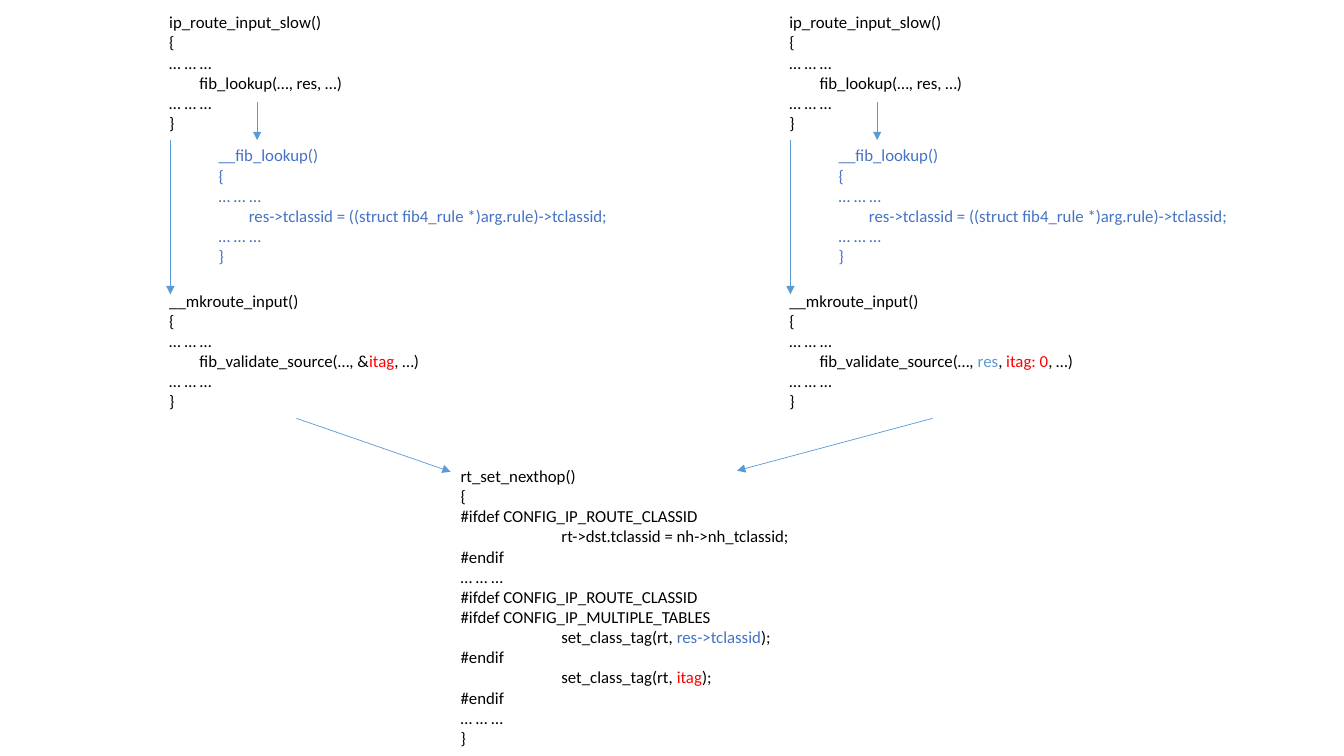
from lxml.etree import SubElement
from pptx import Presentation
from pptx.dml.color import RGBColor
from pptx.enum.shapes import MSO_CONNECTOR
from pptx.enum.text import MSO_AUTO_SIZE
from pptx.oxml.ns import qn
from pptx.util import Inches, Pt

BLACK = RGBColor(0x00, 0x00, 0x00)
RED = RGBColor(0xFF, 0x00, 0x00)
BLUE = RGBColor(0x44, 0x72, 0xC4)
SKY = RGBColor(0x5B, 0x9B, 0xD5)
DOTS = "… … …"


class CodeFlow:
    """Holds the slide and the style of its code blocks and arrows."""

    font_format = {"name": "Calibri", "size": Pt(12)}
    frame_format = {"word_wrap": False, "auto_size": MSO_AUTO_SIZE.SHAPE_TO_FIT_TEXT}

    def __init__(self, slide):
        self.slide = slide

    def code(self, left, top, width, height, lines, color=BLACK, indent=0.3):
        """A plain line is a string; an indented line is a list of (text, colour)."""
        box = self.slide.shapes.add_textbox(
            Inches(left), Inches(top), Inches(width), Inches(height))
        frame = box.text_frame
        for key, value in self.frame_format.items():
            setattr(frame, key, value)
        for number, line in enumerate(lines):
            paragraph = frame.add_paragraph() if number else frame.paragraphs[0]
            if isinstance(line, str):
                line = [(line, color)]
            else:
                paragraph._p.get_or_add_pPr().set("marL", str(Inches(indent)))
            for text, run_color in line:
                run = paragraph.add_run()
                run.text = text
                for key, value in self.font_format.items():
                    setattr(run.font, key, value)
                run.font.color.rgb = run_color

    def function(self, left, top, width, name, call, color=BLACK):
        lines = [name, "{", DOTS, call, DOTS, "}"]
        self.code(left, top, width, 1.31, lines, color)

    def arrow(self, x1, y1, x2, y2):
        arrow = self.slide.shapes.add_connector(
            MSO_CONNECTOR.STRAIGHT, Inches(x1), Inches(y1), Inches(x2), Inches(y2))
        arrow.line.color.rgb = SKY
        arrow.line.width = Pt(0.5)
        SubElement(arrow.line._get_or_add_ln(), qn("a:tailEnd"), type="triangle")
        SubElement(arrow._element.spPr, qn("a:effectLst"))


def main():
    presentation = Presentation()
    presentation.slide_width = Inches(13.33)
    presentation.slide_height = Inches(7.5)
    flow = CodeFlow(presentation.slides.add_slide(presentation.slide_layouts[6]))

    # Shared final step
    flow.code(4.47, 4.57, 3.49, 2.93, [
        "rt_set_nexthop()",
        "{",
        "#ifdef CONFIG_IP_ROUTE_CLASSID",
        [("rt->dst.tclassid = nh->nh_tclassid;", BLACK)],
        "#endif",
        DOTS,
        "#ifdef CONFIG_IP_ROUTE_CLASSID",
        "#ifdef CONFIG_IP_MULTIPLE_TABLES",
        [("set_class_tag(rt, ", BLACK), ("res->tclassid", BLUE), (");", BLACK)],
        "#endif",
        [("set_class_tag(rt, ", BLACK), ("itag", RED), (");", BLACK)],
        "#endif",
        DOTS,
        "}",
    ], indent=1)

    # The two call paths, which differ only in how the source is validated
    old_validation = [("fib_validate_source(…, &", BLACK), ("itag", RED), (", …)", BLACK)]
    new_validation = [("fib_validate_source(…, ", BLACK), ("res", SKY), (", ", BLACK),
                      ("itag: 0", RED), (", …)", BLACK)]
    paths = [(1.58, 2.71, old_validation), (7.73, 3.05, new_validation)]
    for left, validation_width, validation in paths:
        flow.function(left, 2.83, validation_width, "__mkroute_input()", validation)
        flow.function(left, 0.07, 1.94, "ip_route_input_slow()",
                      [("fib_lookup(…, res, …)", BLACK)])
        flow.function(left + 0.49, 1.39, 4.06, "__fib_lookup()",
                      [("res->tclassid = ((struct fib4_rule *)arg.rule)->tclassid;", BLUE)],
                      BLUE)
        flow.arrow(left + 0.97, 1.01, left + 0.97, 1.39)
        flow.arrow(left + 0.11, 1.39, left + 0.11, 2.92)

    # Both paths meet
    flow.arrow(2.94, 4.15, 4.47, 4.68)
    flow.arrow(9.25, 4.15, 7.31, 4.67)

    presentation.save("out.pptx")


if __name__ == "__main__":
    main()
